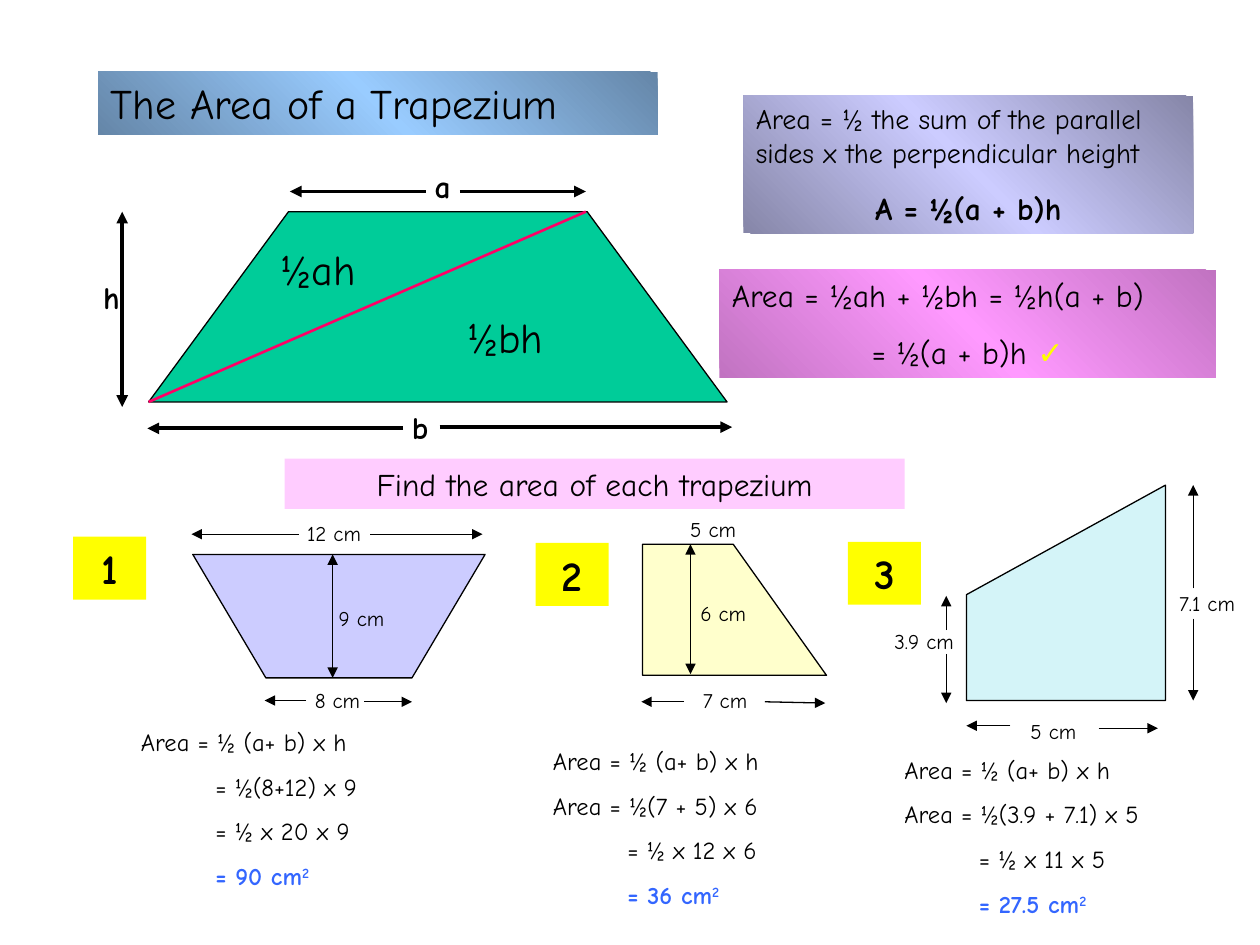
from lxml import etree
from pptx import Presentation
from pptx import util as u
from pptx.dml.color import RGBColor
from pptx.enum import shapes, text
from pptx.oxml.ns import qn

COLOURS = {
    "black": "000000", "green": "00CC99", "red": "FF0066", "yellow": "FFFF00",
    "blue": "3366FF", "pink": "FFCCFF", "lilac": "CCCCFF", "cream": "FFFFCC",
    "aqua": "D4F4F8", "sky": "99CCFF", "sky_dark": "6586A8",
    "lilac_dark": "8686A8", "magenta": "FF99FF", "magenta_dark": "C173C1",
}
FONT = "Comic Neue"
LEFT, CENTRE = text.PP_ALIGN.LEFT, text.PP_ALIGN.CENTER


def rgb(name):
    return RGBColor.from_string(COLOURS[name])


def add_run(p, content, size=18, bold=False, colour="black", font=FONT, raised=False):
    r = p.add_run()
    r.text = content
    r.font.size, r.font.bold, r.font.name = u.Pt(size), bold, font
    r.font.color.rgb = rgb(colour)
    if raised:
        r.font._element.set("baseline", "30000")


class Board:
    """Holds the drawing style and the slide being filled."""

    def __init__(self, s):
        self.s = s

    def add_text(self, sp, paragraphs):
        """Fill sp; each paragraph is (runs, format), each run (text, format)."""
        tf = sp.text_frame
        tf.word_wrap = True
        tf.vertical_anchor = text.MSO_ANCHOR.TOP
        for i, (runs, fmt) in enumerate(paragraphs):
            p = tf.add_paragraph() if i else tf.paragraphs[0]
            p.alignment = fmt.get("align", LEFT)
            p.space_before = u.Pt(fmt.get("before", 0) if i else 0)
            if "indent" in fmt:
                p._p.get_or_add_pPr().set("marL", str(u.Inches(fmt["indent"])))
            for content, style in runs:
                add_run(p, content, **style)

    def text_box(self, at, paragraphs):
        self.add_text(self.s.shapes.add_textbox(*map(u.Inches, at)), paragraphs)

    def label(self, at, content, **style):
        self.text_box(at, [([(content, style)], {})])

    def panel(self, at, paragraphs, fill, edge=None):
        """A filled box; with an edge colour it shades diagonally to it."""
        sp = self.s.shapes.add_shape(shapes.MSO_SHAPE.RECTANGLE, *map(u.Inches, at))
        sp.shadow.inherit = False
        sp.line.fill.background()
        if edge:
            sp.fill.gradient()
            sp.fill.gradient_angle = 225
            stops = sp.fill._fill._gradFill.find(qn("a:gsLst"))
            stops.clear()
            for pos, name in ((0, edge), (50, fill), (100, edge)):
                gs = etree.SubElement(stops, qn("a:gs"), pos=str(pos * 1000))
                etree.SubElement(gs, qn("a:srgbClr"), val=COLOURS[name])
        else:
            sp.fill.solid()
            sp.fill.fore_color.rgb = rgb(fill)
        self.add_text(sp, paragraphs)

    def polygon(self, points, fill):
        pts = [(u.Inches(x), u.Inches(y)) for x, y in points]
        builder = self.s.shapes.build_freeform(*pts[0])
        builder.add_line_segments(pts[1:], close=True)
        sp = builder.convert_to_shape()
        sp.shadow.inherit = False
        sp.fill.solid()
        sp.fill.fore_color.rgb = rgb(fill)
        sp.line.color.rgb = rgb("black")
        sp.line.width = u.Pt(0.75)

    def line(self, start, end, width=0.75, colour="black", ends=("tailEnd",)):
        sp = self.s.shapes.add_connector(
            shapes.MSO_CONNECTOR.STRAIGHT, *map(u.Inches, (*start, *end)))
        sp.line.color.rgb = rgb(colour)
        sp.line.width = u.Pt(width)
        ln = sp.line._get_or_add_ln()
        for tag in ends:
            etree.SubElement(ln, qn("a:" + tag), type="triangle")
        etree.SubElement(sp._element.spPr, qn("a:effectLst"))

    def double_arrow(self, start, end, width=0.75):
        self.line(start, end, width, ends=("headEnd", "tailEnd"))

    def dimension(self, content, at, first, second, width=0.75, **style):
        """A label with two arrows, each (from, to), pointing away from it."""
        self.line(*first, width)
        self.line(*second, width)
        self.label(at, content, **style)

    def working(self, at, lines, answer):
        """Steps of a solution; those starting with '=' line up on the sign."""
        plain, strong = {"size": 14}, {"size": 14, "bold": True, "colour": "blue"}
        paragraphs = []
        for step in lines:
            fmt = {"before": 8.8}
            if step.startswith("="):
                fmt["indent"] = 0.59
            paragraphs.append(([(step, plain)], fmt))
        paragraphs.append(([(answer, strong), ("2", {**strong, "raised": True})],
                           {"before": 8.8, "indent": 0.59}))
        self.text_box(at, paragraphs)


def draw_proof(b):
    b.polygon([(1.18, 3.19), (5.77, 3.19), (4.66, 1.68), (2.29, 1.68)], "green")
    b.panel((0.78, 0.57, 4.44, 0.5),
            [([("The Area of a Trapezium", {"size": 24})], {})], "sky", "sky_dark")
    centred = {"align": CENTRE, "before": 11.2}
    rule = "Area = ½ the sum of the parallel sides x the perpendicular height"
    b.panel((5.9, 0.76, 3.57, 1.09),
            [([(rule, {"size": 16})], {}),
             ([("A = ½(a + b)h", {"bold": True})], centred)], "lilac", "lilac_dark")
    bold = {"size": 18, "bold": True, "width": 2.25}
    b.dimension("a", (3.35, 1.28, 0.35, 0.4), ((3.38, 1.52), (2.3, 1.52)),
                ((3.65, 1.52), (4.65, 1.52)), **bold)
    b.dimension("b", (3.17, 3.19, 0.35, 0.4), ((3.2, 3.4), (1.17, 3.4)),
                ((3.49, 3.39), (5.81, 3.39)), **bold)
    b.double_arrow((0.97, 1.68), (0.97, 3.23), 2.25)
    b.label((0.72, 2.16, 0.4, 0.4), "h", bold=True)
    b.line((1.18, 3.19), (4.65, 1.68), 1.5, "red", ends=())
    b.label((2.13, 1.88, 1.06, 0.5), "½ah", size=24)
    b.label((3.61, 2.42, 1.06, 0.5), "½bh", size=24)
    tick = ("✓", {"font": "Arial", "colour": "yellow", "bold": True})
    b.panel((5.71, 2.14, 3.94, 0.86),
            [([("Area = ½ah + ½bh = ½h(a + b)", {})], {}),
             ([("= ½(a + b)h ", {}), tick], centred)], "magenta", "magenta_dark")


def draw_exercises(b):
    b.panel((2.26, 3.64, 4.92, 0.4),
            [([("Find the area of each trapezium", {})], {"align": CENTRE})], "pink")
    for number, x, y in (("1", 0.58, 4.26), ("2", 4.25, 4.31), ("3", 6.73, 4.3)):
        b.panel((x, y, 0.58, 0.5),
                [([(number, {"size": 24, "bold": True})], {"align": CENTRE})], "yellow")

    b.polygon([(1.53, 4.4), (3.85, 4.4), (3.27, 5.38), (2.11, 5.38)], "lilac")
    b.polygon([(5.1, 4.32), (5.1, 5.36), (6.56, 5.36), (5.82, 4.32)], "cream")
    b.polygon([(7.67, 5.56), (9.25, 5.56), (9.25, 3.85), (7.67, 4.72)], "aqua")
    b.double_arrow((2.64, 4.4), (2.64, 5.38))
    b.double_arrow((5.48, 4.32), (5.48, 5.35))

    for content, x, y in (("9 cm", 2.59, 4.76), ("5 cm", 5.38, 4.05), ("6 cm", 5.46, 4.72)):
        b.label((x, y, 0.7, 0.3), content, size=12)
    for content, at, first, second in (
        ("12 cm", (2.34, 4.08, 0.7, 0.3),
         ((2.37, 4.24), (1.52, 4.24)), ((2.94, 4.24), (3.83, 4.24))),
        ("8 cm", (2.4, 5.41, 0.7, 0.3),
         ((2.43, 5.56), (2.1, 5.56)), ((2.89, 5.57), (3.27, 5.57))),
        ("7 cm", (5.48, 5.41, 0.7, 0.3),
         ((5.43, 5.57), (5.09, 5.57)), ((6.07, 5.57), (6.55, 5.58))),
        ("5 cm", (8.08, 5.65, 0.86, 0.3),
         ((8.02, 5.76), (7.67, 5.76)), ((8.72, 5.78), (9.19, 5.78))),
        ("3.9 cm", (7, 4.94, 0.86, 0.3),
         ((7.51, 5), (7.51, 4.73)), ((7.51, 5.19), (7.51, 5.58))),
        ("7.1 cm", (9.26, 4.64, 0.74, 0.3),
         ((9.47, 4.67), (9.47, 3.85)), ((9.47, 4.91), (9.47, 5.56))),
    ):
        b.dimension(content, at, first, second, size=12)

    formula = "Area = ½ (a+ b) x h"
    b.working((1.02, 5.72, 2.78, 1.4),
              [formula, "= ½(8+12) x 9", "= ½ x 20 x 9"], "= 90 cm")
    b.working((4.29, 5.87, 2.4, 1.4),
              [formula, "Area = ½(7 + 5) x 6", "= ½ x 12 x 6"], "= 36 cm")
    b.working((7.08, 5.94, 2.4, 1.4),
              [formula, "Area = ½(3.9 + 7.1) x 5", "= ½ x 11 x 5"], "= 27.5 cm")


def main():
    prs = Presentation()
    prs.slide_width, prs.slide_height = u.Inches(10), u.Inches(7.5)
    b = Board(prs.slides.add_slide(prs.slide_layouts[6]))
    draw_proof(b)
    draw_exercises(b)
    prs.save("out.pptx")


if __name__ == "__main__":
    main()
